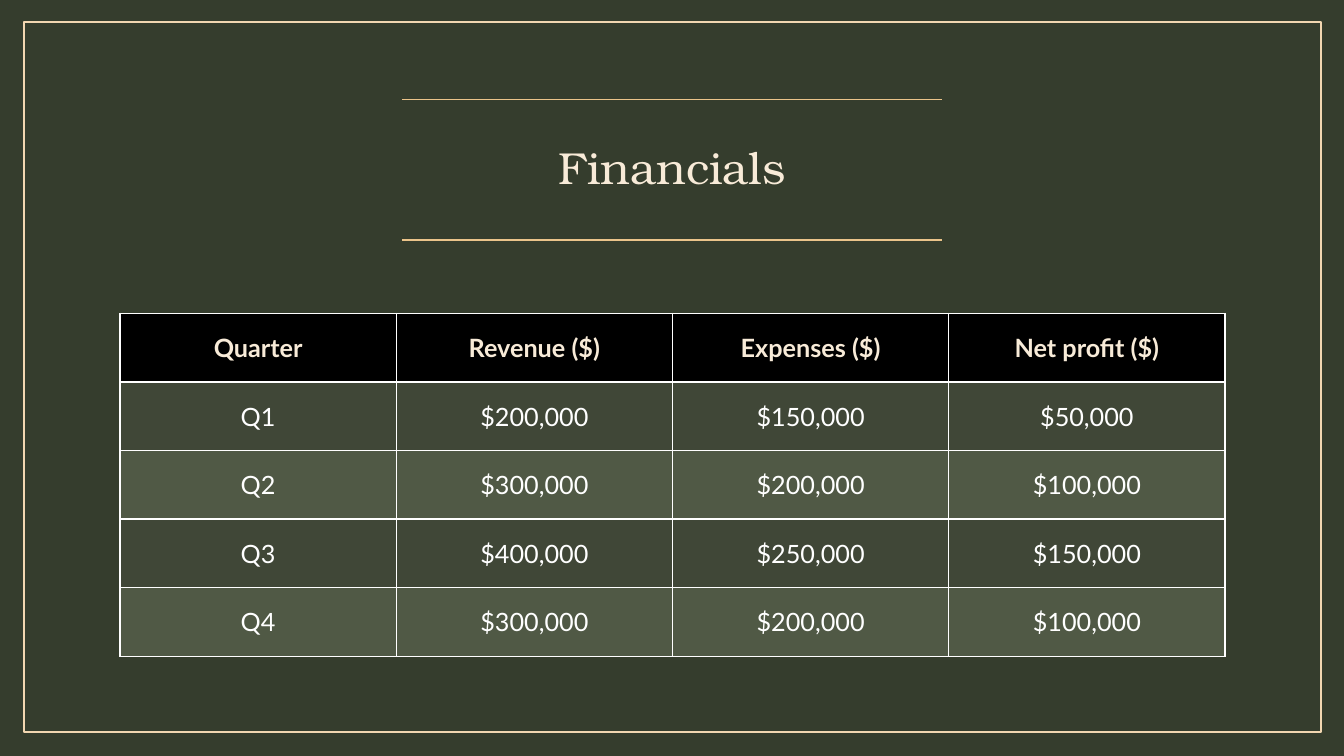
from lxml import etree
from pptx import Presentation
from pptx.dml.color import RGBColor
from pptx.enum.shapes import MSO_CONNECTOR, MSO_SHAPE
from pptx.enum.text import MSO_ANCHOR, MSO_AUTO_SIZE, PP_ALIGN
from pptx.oxml import parse_xml
from pptx.oxml.ns import nsdecls, qn
from pptx.util import Inches, Pt

RECTANGLE = MSO_SHAPE.RECTANGLE
STRAIGHT = MSO_CONNECTOR.STRAIGHT
MIDDLE = MSO_ANCHOR.MIDDLE
CENTER = PP_ALIGN.CENTER
NO_AUTOFIT = MSO_AUTO_SIZE.NONE
TITLE_ONLY = 5

COLORS = {
    "background": "353D2D",
    "frame": "F2D7B1",
    "rule": "EBC48A",
    "cream": "F8EBD8",
    "white": "FFFFFF",
    "header": "000000",
    "odd": "404737",
    "even": "505945",
}
TITLE_FONT = "TeX Gyre Bonum"
BODY_FONT = "Lato"

FINANCIALS = [
    ("Quarter", "Revenue ($)", "Expenses ($)", "Net profit ($)"),
    ("Q1", "$200,000", "$150,000", "$50,000"),
    ("Q2", "$300,000", "$200,000", "$100,000"),
    ("Q3", "$400,000", "$250,000", "$150,000"),
    ("Q4", "$300,000", "$200,000", "$100,000"),
]


def color(name):
    """Return the named palette colour."""
    return RGBColor.from_string(COLORS[name])


def write(text_frame, text, size, font_name, color_name, bold=False):
    """Write one centred line of text."""
    paragraph = text_frame.paragraphs[0]
    paragraph.alignment = CENTER
    run = paragraph.add_run()
    run.text = text
    run.font.size = Pt(size)
    run.font.name = font_name
    run.font.bold = bold
    run.font.color.rgb = color(color_name)
    return paragraph


def add_frame(slide, left, top, width, height):
    """Outline the slide with a thin frame."""
    frame = slide.shapes.add_shape(
        RECTANGLE, Inches(left), Inches(top), Inches(width), Inches(height))
    frame.shadow.inherit = False
    frame.fill.background()
    frame.line.color.rgb = color("frame")
    frame.line.width = Pt(1.5)


def add_rule(slide, left, top, width):
    """Draw a horizontal rule."""
    rule = slide.shapes.add_connector(
        STRAIGHT, Inches(left), Inches(top), Inches(left + width), Inches(top))
    rule.line.color.rgb = color("rule")
    rule.line.width = Pt(1)
    etree.SubElement(rule._element.spPr, qn("a:effectLst"))


def add_heading(slide, text, left, top, width, height, rule_width=5.35):
    """Place the title between two centred rules."""
    title = slide.shapes.title
    title.left, title.top = Inches(left), Inches(top)
    title.width, title.height = Inches(width), Inches(height)
    title.text_frame.auto_size = NO_AUTOFIT
    title.text_frame.word_wrap = True
    title.text_frame.vertical_anchor = MIDDLE
    write(title.text_frame, text, 32, TITLE_FONT, "cream").line_spacing = 0.9
    for rule_top in (top, top + height):
        add_rule(slide, left + (width - rule_width) / 2, rule_top, rule_width)


def underline_cell(cell):
    """Give a header cell a white bottom border."""
    border = parse_xml(
        f'<a:lnB {nsdecls("a")} w="{Pt(2)}"><a:solidFill>'
        f'<a:srgbClr val="{COLORS["white"]}"/></a:solidFill></a:lnB>')
    cell._tc.get_or_add_tcPr().insert(0, border)


def add_financials(slide, rows, left, top, width, height):
    """Fill the box with the banded table of quarterly figures."""
    table = slide.shapes.add_table(
        len(rows), len(rows[0]),
        Inches(left), Inches(top), Inches(width), Inches(height)).table
    for column in table.columns:
        column.width = Inches(width / len(rows[0]))
    for row_index, values in enumerate(rows):
        is_header = row_index == 0
        band = "header" if is_header else "odd" if row_index % 2 else "even"
        table.rows[row_index].height = Inches(height / len(rows))
        for column_index, value in enumerate(values):
            cell = table.cell(row_index, column_index)
            cell.vertical_anchor = MIDDLE
            cell.fill.solid()
            cell.fill.fore_color.rgb = color(band)
            write(cell.text_frame, value, 18, BODY_FONT,
                  "cream" if is_header else "white", is_header)
            if is_header:
                underline_cell(cell)


def main():
    """Build and save the financials slide."""
    deck = Presentation()
    deck.slide_width, deck.slide_height = Inches(13.33), Inches(7.5)
    slide = deck.slides.add_slide(deck.slide_layouts[TITLE_ONLY])
    slide.background.fill.solid()
    slide.background.fill.fore_color.rgb = color("background")
    add_frame(slide, 0.24, 0.22, 12.86, 7.04)
    add_heading(slide, "Financials", 1.62, 0.99, 10.09, 1.39)
    add_financials(slide, FINANCIALS, 1.19, 3.11, 10.96, 3.4)
    deck.save("out.pptx")


if __name__ == "__main__":
    main()
